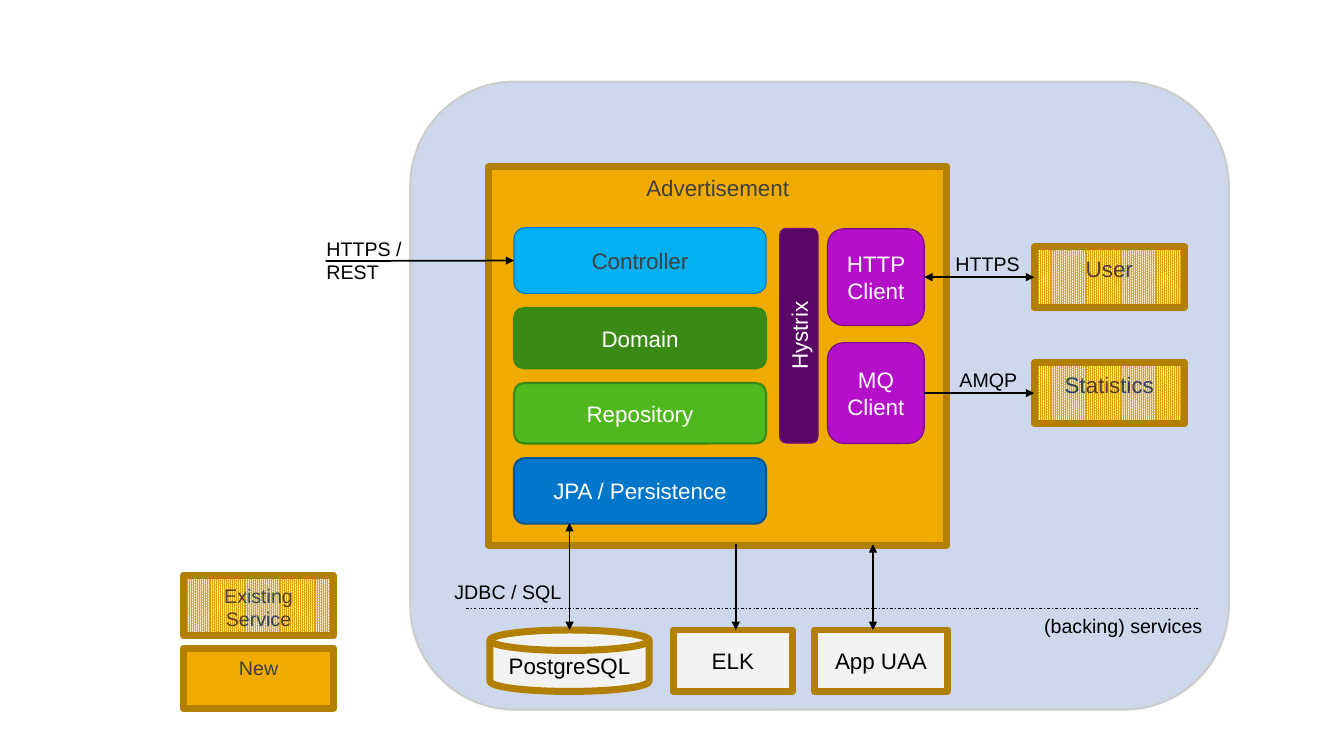
from lxml.etree import SubElement
from pptx import Presentation
from pptx.dml.color import RGBColor
from pptx.enum.dml import MSO_LINE, MSO_PATTERN
from pptx.enum.shapes import MSO_CONNECTOR, MSO_SHAPE
from pptx.enum.text import MSO_ANCHOR, MSO_AUTO_SIZE, PP_ALIGN
from pptx.oxml.ns import qn
from pptx.util import Inches, Pt

BLACK = RGBColor(0x00, 0x00, 0x00)
WHITE = RGBColor(0xFF, 0xFF, 0xFF)
CHARCOAL = RGBColor(0x40, 0x40, 0x40)
SILVER = RGBColor(0xCC, 0xCC, 0xCC)
PALE_GRAY = RGBColor(0xF2, 0xF2, 0xF2)
PLATFORM_BLUE = RGBColor(0x94, 0xAB, 0xD8)
AMBER = RGBColor(0xF0, 0xAB, 0x00)
HATCH_AMBER = RGBColor(0xDE, 0x9F, 0x00)
BRONZE = RGBColor(0xB2, 0x7F, 0x00)
SKY = RGBColor(0x00, 0xB0, 0xF0)
BLUE = RGBColor(0x00, 0x76, 0xCB)
NAVY = RGBColor(0x00, 0x57, 0x96)
FOREST = RGBColor(0x3B, 0x8A, 0x15)
FOREST_EDGE = RGBColor(0x3A, 0x88, 0x15)
GREEN = RGBColor(0x4F, 0xB8, 0x1C)
VIOLET = RGBColor(0xB4, 0x10, 0xCA)
VIOLET_EDGE = RGBColor(0x76, 0x0A, 0x85)
PLUM = RGBColor(0x58, 0x08, 0x64)

TOP, LEFT, BOTTOM, RIGHT = range(4)


def write(frame, text, size=16, color=BLACK, align=PP_ALIGN.LEFT,
          anchor=MSO_ANCHOR.TOP, font="Arial"):
    frame.vertical_anchor = anchor
    para = frame.paragraphs[0]
    para.text = text
    para.alignment = align
    para.space_before = Pt(0)
    para.font.name = font
    para.font.size = Pt(size)
    para.font.color.rgb = color


class Diagram:
    """Draws on one page; lengths are columns and rows of a tenth of an inch."""
    cell = Inches(0.1)
    columns, rows = 133.33, 75

    def __init__(self):
        self.deck = Presentation()
        self.deck.slide_width, self.deck.slide_height = self.lengths(self.columns, self.rows)
        self.page = self.deck.slides.add_slide(self.deck.slide_layouts[6])

    def lengths(self, *cells):
        return [round(count * self.cell) for count in cells]

    def box(self, place, fill, edge, text="", kind=MSO_SHAPE.ROUNDED_RECTANGLE,
            edge_width=0.79, hatched=False, opacity=None, turn=0,
            size=16, color=WHITE, anchor=MSO_ANCHOR.MIDDLE):
        shape = self.page.shapes.add_shape(kind, *self.lengths(*place))
        shape.shadow.inherit = False
        shape.rotation = turn
        if hatched:
            shape.fill.patterned()
            shape.fill.pattern = MSO_PATTERN.PERCENT_90
            shape.fill.fore_color.rgb = fill
            shape.fill.back_color.rgb = WHITE
        else:
            shape.fill.solid()
            shape.fill.fore_color.rgb = fill
        if opacity:
            tint = shape.element.spPr.find(qn("a:solidFill"))[0]
            SubElement(tint, qn("a:alpha"), val=str(opacity * 1000))
        shape.line.color.rgb = edge
        shape.line.width = Pt(edge_width)
        if text:
            frame = shape.text_frame
            frame.word_wrap = True
            frame.margin_left = frame.margin_right = Inches(0.1)
            frame.margin_top = frame.margin_bottom = Inches(0.08)
            write(frame, text, size, color, PP_ALIGN.CENTER, anchor)
        return shape

    def service(self, place, text, fill=AMBER, color=CHARCOAL,
                kind=MSO_SHAPE.RECTANGLE, anchor=MSO_ANCHOR.TOP, **style):
        """A box with the thick bronze frame."""
        return self.box(place, fill, BRONZE, text, kind, edge_width=5,
                        color=color, anchor=anchor, **style)

    def label(self, place, text, wrap=True):
        frame = self.page.shapes.add_textbox(*self.lengths(*place)).text_frame
        frame.word_wrap = wrap
        frame.auto_size = MSO_AUTO_SIZE.SHAPE_TO_FIT_TEXT
        write(frame, text, size=14)

    def wire(self, start, end, head=False, tail=False, begin_join=None,
             end_join=None, width=1.25, dash=None):
        """A straight line; a join is a (box, side) pair."""
        line = self.page.shapes.add_connector(
            MSO_CONNECTOR.STRAIGHT, *self.lengths(*start, *end))
        if begin_join:
            line.begin_connect(*begin_join)
        if end_join:
            line.end_connect(*end_join)
        line.line.color.rgb = BLACK
        line.line.width = Pt(width)
        if dash:
            line.line.dash_style = dash
        properties = line.element.spPr
        outline = properties.find(qn("a:ln"))
        for wanted, tag in ((head, "a:headEnd"), (tail, "a:tailEnd")):
            if wanted:
                SubElement(outline, qn(tag), type="triangle")
        SubElement(properties, qn("a:effectLst"))


def main():
    diagram = Diagram()
    diagram.box((40.7, 8.1, 81.2, 62.3), PLATFORM_BLUE, SILVER,
                edge_width=1.5, opacity=46)
    diagram.service((48.5, 16.5, 45.4, 37.6), "Advertisement")

    layers = {}
    top, gap = 22.6, 1.45
    for name, height, fill, edge, edge_width, color in (
            ("Controller", 6.5, SKY, BLUE, 0.79, CHARCOAL),
            ("Domain", 6, FOREST, FOREST_EDGE, 1.5, WHITE),
            ("Repository", 6, GREEN, FOREST_EDGE, 1.5, WHITE),
            ("JPA / Persistence", 6.5, BLUE, NAVY, 1.5, WHITE)):
        layers[name] = diagram.box((51, top, 25, height), fill, edge, name,
                                   edge_width=edge_width, color=color)
        top += height + gap
    diagram.box((68.6, 31.4, 21.3, 3.8), PLUM, VIOLET_EDGE, "Hystrix", turn=270)

    diagram.label((31.4, 23, 14.4, 5.7), "HTTPS / REST")
    diagram.wire((32.3, 25.9), (51, 25.9), tail=True,
                 end_join=(layers["Controller"], LEFT))

    for client, client_height, partner, middle, protocol, label_left, label_width, two_way in (
            ("HTTP Client", 9.6, "User", 27.5, "HTTPS", 93.8, 8.5, True),
            ("MQ Client", 10, "Statistics", 39, "AMQP", 94.2, 7.8, False)):
        client_box = diagram.box((82.1, middle - client_height / 2, 9.6, client_height),
                                 VIOLET, VIOLET_EDGE, client)
        partner_box = diagram.service((102.6, middle - 3, 14.9, 6), partner,
                                      HATCH_AMBER, hatched=True)
        diagram.wire((102.6, middle), (91.7, middle), head=True, tail=two_way,
                     begin_join=(partner_box, LEFT), end_join=(client_box, RIGHT))
        diagram.label((label_left, middle - 3, label_width, 3.4), protocol, wrap=False)

    diagram.wire((46.2, 60.4), (118.8, 60.4), width=0.5, dash=MSO_LINE.DASH_DOT)
    diagram.label((44.1, 57, 16.2, 3.4), "JDBC / SQL")
    diagram.label((102.6, 60.4, 18.8, 3.4), "(backing) services")

    for name, left, width, kind, wire_column, wire_top, two_way in (
            ("PostgreSQL", 48.6, 15.8, MSO_SHAPE.FLOWCHART_MAGNETIC_DISK, 56.5, 51.9, True),
            ("ELK", 66.8, 11.8, MSO_SHAPE.RECTANGLE, 73, 54, False),
            ("App UAA", 80.8, 13.2, MSO_SHAPE.RECTANGLE, 86.6, 54, True)):
        diagram.service((left, 62.5, width, 6.1), name, PALE_GRAY, BLACK, kind,
                        MSO_ANCHOR.MIDDLE)
        diagram.wire((wire_column, wire_top), (wire_column, 62.5),
                     head=two_way, tail=True)

    diagram.service((18.2, 57.1, 14.9, 6), "Existing\vService", HATCH_AMBER,
                    hatched=True, size=14)
    diagram.service((18.2, 64.3, 14.9, 6), "New", size=14)
    diagram.deck.save("out.pptx")


if __name__ == "__main__":
    main()
